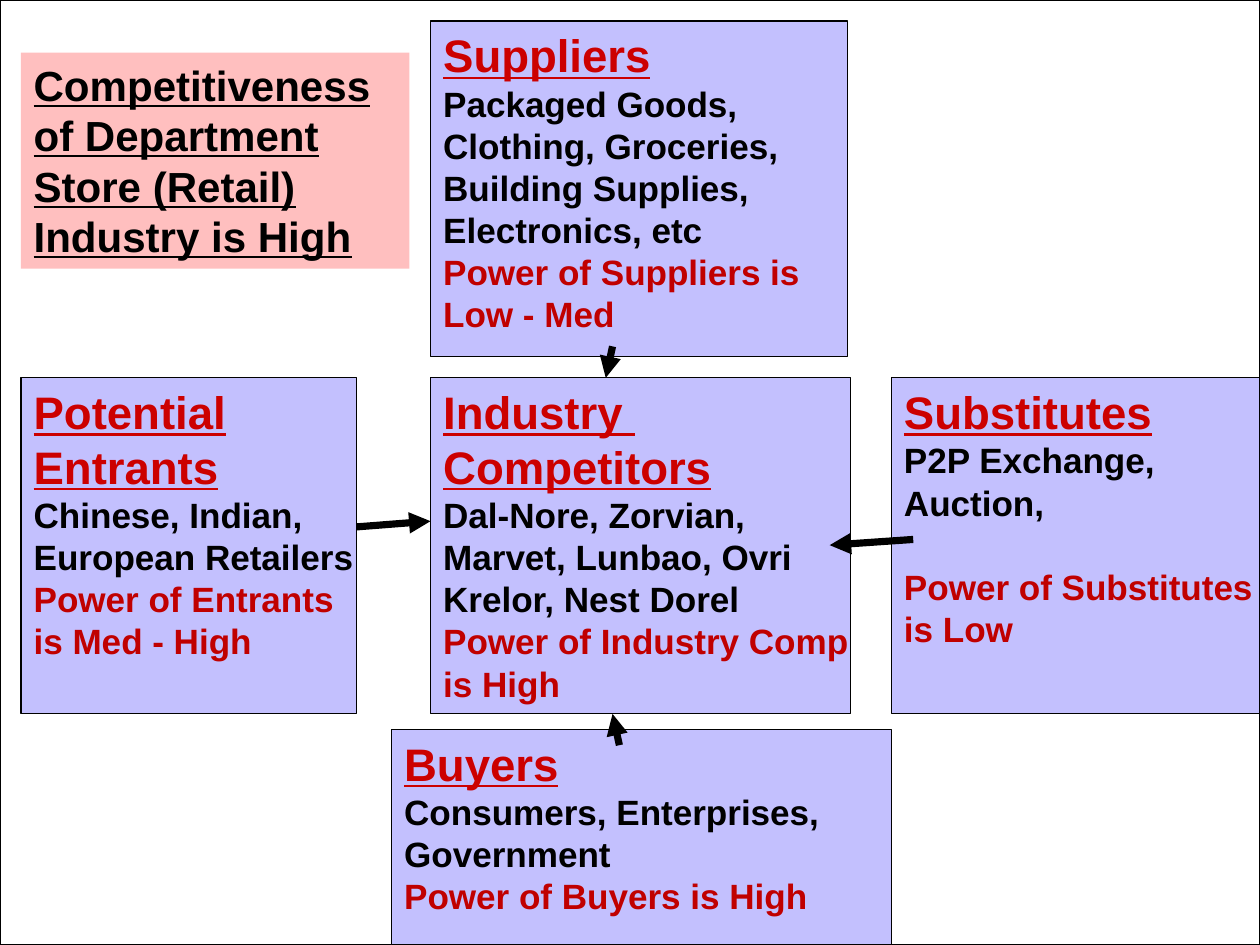
from lxml import etree
from pptx import Presentation
from pptx.dml.color import RGBColor
from pptx.enum import shapes, text
from pptx.oxml import ns
from pptx.util import Pt

COLOURS = {
    "page": "FFFFFF",
    "force": "C3C0FE",
    "verdict": "FFBFBF",
    "ink": "000000",
    "heading": "CC0000",
    "power": "C00000",
}
PAGE_WIDTH, PAGE_HEIGHT = 793.75, 595.25
BODY_SIZE = 22.1
LINE_PITCH = 26.5

SIDE, MIDDLE, RIGHT = 13.2, 271.2, 561.5
TOP, CENTRE, BOTTOM = 13.2, 238, 459.5
FORCE_HEIGHT = 211.5

# box, heading lines, example lines, power lines, gap before the power lines
FORCES = [
    ((MIDDLE, CENTRE, 264.5, FORCE_HEIGHT), ["Industry ", "Competitors"],
     ["Dal-Nore, Zorvian,", "Marvet, Lunbao, Ovri", "Krelor, Nest Dorel"],
     ["Power of Industry Comp", "is High"], 0),
    ((MIDDLE, TOP, 262.7, FORCE_HEIGHT), ["Suppliers"],
     ["Packaged Goods,", "Clothing, Groceries,", "Building Supplies,", "Electronics, etc"],
     ["Power of Suppliers is", "Low - Med"], 0),
    ((RIGHT, CENTRE, 231.9, FORCE_HEIGHT), ["Substitutes"],
     ["P2P Exchange,", "Auction,"],
     ["Power of Substitutes", "is Low"], LINE_PITCH),
    ((246.6, BOTTOM, 314.9, 135.6), ["Buyers"],
     ["Consumers, Enterprises,", "Government"],
     ["Power of Buyers is High"], 0),
    ((SIDE, CENTRE, 211.5, FORCE_HEIGHT), ["Potential", "Entrants"],
     ["Chinese, Indian,", "European Retailers"],
     ["Power of Entrants", "is Med - High"], 0),
]
ARROWS = [
    ((385.9, 218.2), (381.6, CENTRE)),
    ((390.2, 469.4), (385.9, 449.7)),
    ((224.7, 331.9), (MIDDLE, 328.3)),
    ((575.3, 339.8), (522.7, 343.4)),
]


def add_box(page, box, fill, outline=True, wrap=True):
    shape = page.shapes.add_shape(shapes.MSO_SHAPE.RECTANGLE, *map(Pt, box))
    shape.shadow.inherit = False
    shape.fill.solid()
    shape.fill.fore_color.rgb = RGBColor.from_string(COLOURS[fill])
    if outline:
        shape.line.color.rgb = RGBColor.from_string(COLOURS["ink"])
        shape.line.width = Pt(0.75)
    else:
        shape.line.fill.background()
    frame = shape.text_frame
    frame.word_wrap = wrap
    frame.vertical_anchor = text.MSO_ANCHOR.TOP
    frame.margin_left = frame.margin_right = Pt(8)
    frame.margin_top = frame.margin_bottom = Pt(4)
    return shape


def write(para, words, size=BODY_SIZE, colour="ink", underline=False, before=0):
    para.alignment = text.PP_ALIGN.LEFT
    para.space_before = Pt(before)
    span = para.add_run()
    span.text = words
    font = span.font
    font.name, font.size, font.bold, font.underline = "Arial", Pt(size), True, underline
    font.color.rgb = RGBColor.from_string(COLOURS[colour])


def add_force(page, box, headings, examples, powers, gap):
    """Draw one competitive force: heading, examples and its rated power."""
    frame = add_box(page, box, "force", wrap=False).text_frame
    lines = [(words, dict(size=28.7, colour="heading", underline=True)) for words in headings]
    lines += [(words, {}) for words in examples]
    lines += [(words, dict(colour="power", before=0 if i else gap))
              for i, words in enumerate(powers)]
    for i, (words, style) in enumerate(lines):
        para = frame.add_paragraph() if i else frame.paragraphs[0]
        write(para, words, **style)


def add_arrow(page, start, end):
    arrow = page.shapes.add_connector(
        shapes.MSO_CONNECTOR.STRAIGHT, *map(Pt, start + end))
    arrow.line.color.rgb = RGBColor.from_string(COLOURS["ink"])
    arrow.line.width = Pt(4.5)
    properties = arrow._element.spPr
    etree.SubElement(properties.find(ns.qn("a:ln")), ns.qn("a:tailEnd"), type="triangle")
    etree.SubElement(properties, ns.qn("a:effectLst"))


def add_verdict(page, box):
    shape = add_box(page, box, "verdict", outline=False)
    shape.text_frame.auto_size = text.MSO_AUTO_SIZE.SHAPE_TO_FIT_TEXT
    write(shape.text_frame.paragraphs[0],
          "Competitiveness of Department Store (Retail) Industry is High",
          size=26.5, underline=True)


def main():
    deck = Presentation()
    deck.slide_width, deck.slide_height = Pt(PAGE_WIDTH), Pt(PAGE_HEIGHT)
    page = deck.slides.add_slide(deck.slide_layouts[6])
    add_box(page, (0, 0, PAGE_WIDTH, PAGE_HEIGHT), "page")
    for force in FORCES:
        add_force(page, *force)
    for start, end in ARROWS:
        add_arrow(page, start, end)
    add_verdict(page, (SIDE, 33.2, 244.7, 136))
    deck.save("out.pptx")


if __name__ == "__main__":
    main()
